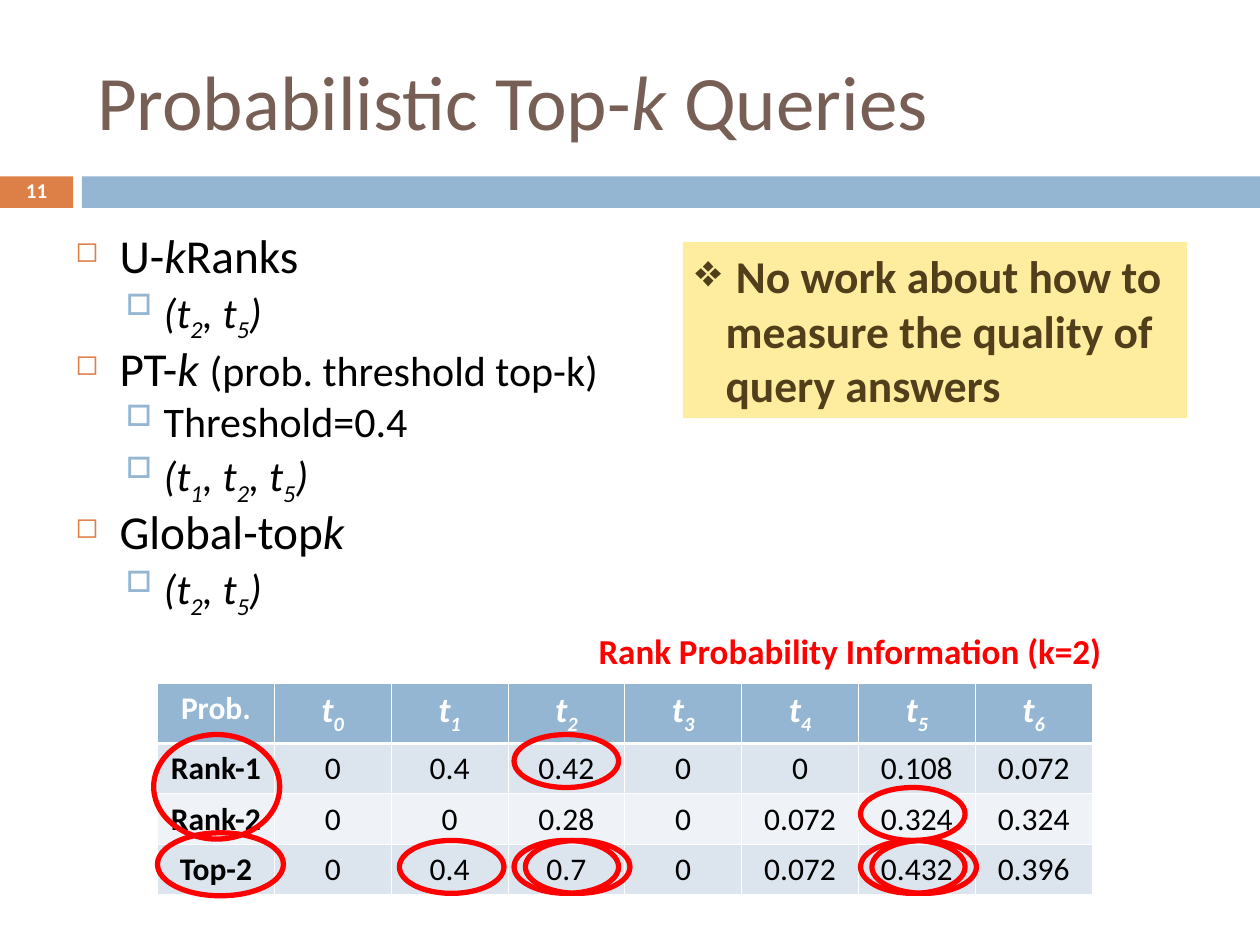
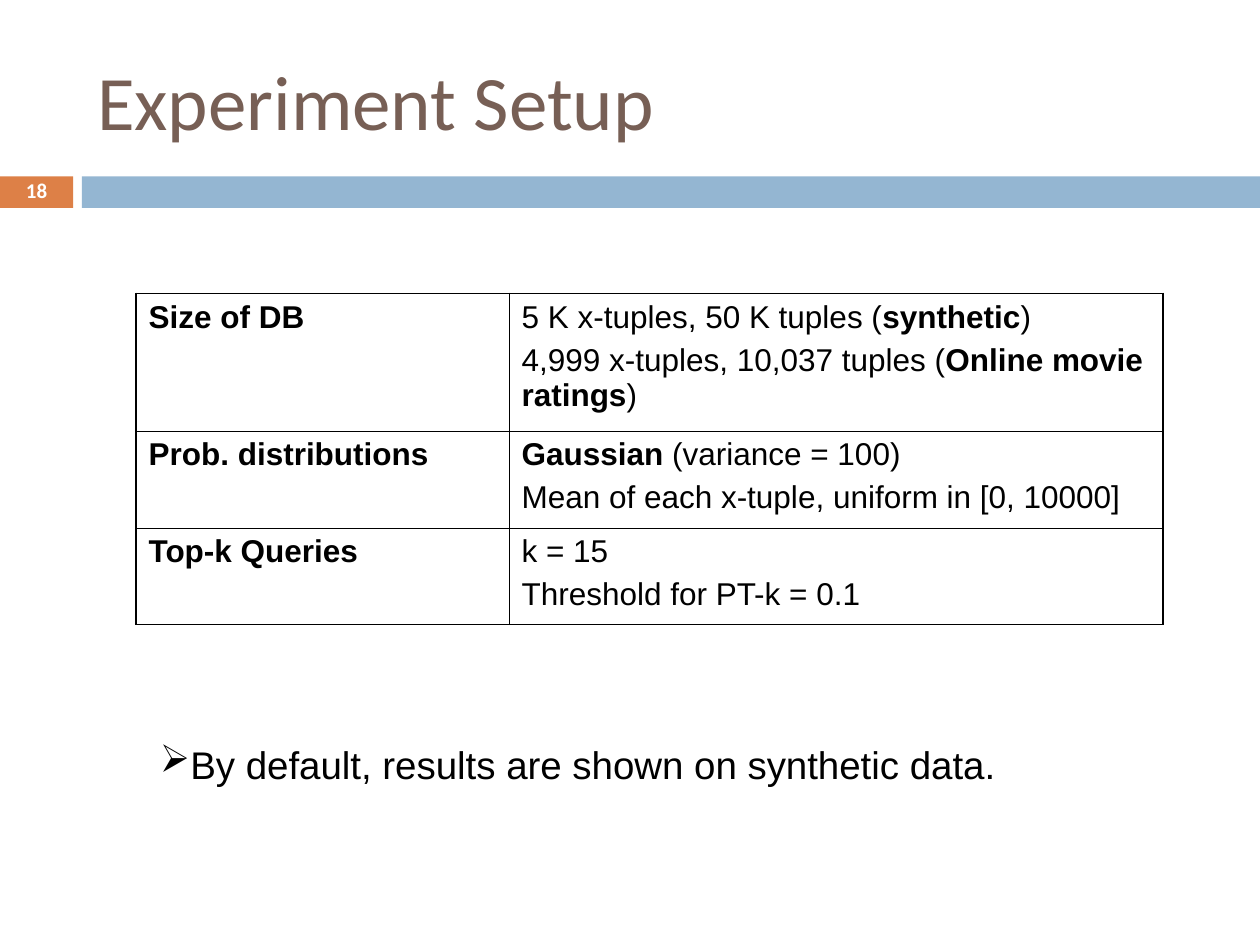
from pptx import Presentation
from pptx import util as u
from pptx.dml.color import RGBColor
from pptx.enum import shapes, text
from pptx.oxml.ns import qn
from lxml import etree

Inches, Pt = u.Inches, u.Pt

BROWN = RGBColor(0x77, 0x5F, 0x55)
ORANGE = RGBColor(0xDD, 0x80, 0x47)
BLUE = RGBColor(0x94, 0xB6, 0xD2)
PALE = RGBColor(0xDC, 0xE5, 0xEE)
PALER = RGBColor(0xEF, 0xF3, 0xF7)
YELLOW = RGBColor(0xFF, 0xED, 0x9F)
DARK = RGBColor(0x51, 0x3E, 0x1B)
RED = RGBColor(0xFF, 0, 0)
BLACK = RGBColor(0, 0, 0)
WHITE = RGBColor(0xFF, 0xFF, 0xFF)
SANS, ARIAL = "Calibri", "Arial"


# Text helpers: a run is (text, flags) or (text, flags, size);
# flags: b bold, i italic, s subscript
def write(p, runs, size, color, font=SANS):
    for content, flags, *own_size in runs:
        r = p.add_run()
        r.text = content
        f = r.font
        f.name, f.size = font, Pt(own_size[0] if own_size else size)
        f.color.rgb = color
        f.bold, f.italic = "b" in flags, "i" in flags
        if "s" in flags:
            r._r.get_or_add_rPr().set("baseline", "-25000")


def bullet(p, char, color, margin, hanging, percent=100):
    pPr = p._p.get_or_add_pPr()
    pPr.set("marL", str(Inches(margin)))
    pPr.set("indent", str(-Inches(hanging)))
    clr = etree.SubElement(pPr, qn("a:buClr"))
    etree.SubElement(clr, qn("a:srgbClr"), val=str(color))
    etree.SubElement(pPr, qn("a:buSzPct"), val=str(percent * 1000))
    etree.SubElement(pPr, qn("a:buChar"), char=char)


def tuple_set(*indices):
    runs = [("(", "i")]
    for n, index in enumerate(indices):
        runs += [(", t" if n else "t", "i"), (index, "is")]
    return runs + [(")", "i")]


# Shape helpers
def add_box(s, box, fill=None, line=None, kind=shapes.MSO_SHAPE.RECTANGLE):
    sp = s.shapes.add_shape(kind, *map(Inches, box))
    sp.shadow.inherit = False
    if fill is None:
        sp.fill.background()
    else:
        sp.fill.solid()
        sp.fill.fore_color.rgb = fill
    if line is None:
        sp.line.fill.background()
    else:
        sp.line.color.rgb = line
        sp.line.width = Pt(3)
    tf = sp.text_frame
    tf.word_wrap = True
    tf.vertical_anchor = text.MSO_ANCHOR.TOP
    tf.paragraphs[0].alignment = text.PP_ALIGN.LEFT
    return sp


def add_text(s, box):
    tf = s.shapes.add_textbox(*map(Inches, box)).text_frame
    tf.word_wrap = True
    return tf


def add_grid(s, box, widths, heights):
    table = s.shapes.add_table(len(heights), len(widths), *map(Inches, box)).table
    table.first_row = table.horz_banding = False
    for col, width in zip(table.columns, widths):
        col.width = Inches(width)
    for row, height in zip(table.rows, heights):
        row.height = Inches(height)
    return table


def style_cell(cell, color, left, right, top, bottom, fill=None):
    tcPr = cell._tc.get_or_add_tcPr()
    for side, width in zip("LRTB", (left, right, top, bottom)):
        ln = etree.SubElement(tcPr, qn(f"a:ln{side}"), w=str(Pt(width)))
        solid = etree.SubElement(ln, qn("a:solidFill"))
        etree.SubElement(solid, qn("a:srgbClr"), val=str(color))
    if fill is None:
        cell.fill.background()
    else:
        cell.fill.solid()
        cell.fill.fore_color.rgb = fill


# Title, band and slide number of every slide
def new_slide(prs, title_runs, number):
    s = prs.slides.add_slide(prs.slide_layouts[5])
    add_box(s, (0, 1.4, 0.58, 0.25), ORANGE)
    add_box(s, (0.65, 1.4, 9.35, 0.25), BLUE)
    title = s.shapes.title
    title.left, title.top, title.width, title.height = map(Inches, (0.67, 0.25, 8.92, 1.08))
    tf = title.text_frame
    tf.vertical_anchor = text.MSO_ANCHOR.MIDDLE
    p = tf.paragraphs[0]
    p.alignment = text.PP_ALIGN.LEFT
    write(p, title_runs, 44, BROWN)

    tf = add_text(s, (0, 1.39, 0.58, 0.27))
    tf.vertical_anchor = text.MSO_ANCHOR.MIDDLE
    p = tf.paragraphs[0]
    p.alignment, p.line_spacing = text.PP_ALIGN.CENTER, 0.8
    write(p, [(number, "b")], 12, WHITE)
    return s


# Two-level list of query types
def query_list(s, box):
    items = [
        (0, [("U-", ""), ("k", "i"), ("Ranks", "")]),
        (1, tuple_set("2", "5")),
        (0, [("PT-", ""), ("k ", "i"), ("(prob. threshold top-k)", "", 24)]),
        (1, [("Threshold=0.4", "")]),
        (1, tuple_set("1", "2", "5")),
        (0, [("Global-top", ""), ("k", "i")]),
        (1, tuple_set("2", "5")),
    ]
    levels = [(27, 7, ("◻", ORANGE, 0.35, 0.35, 60)),
              (24, 5.5, ("□", BLUE, 0.7, 0.3, 70))]
    tf = add_text(s, box)
    for n, (level, runs) in enumerate(items):
        size, before, mark = levels[level]
        p = tf.add_paragraph() if n else tf.paragraphs[0]
        p.level, p.line_spacing, p.space_before = level, 0.8, Pt(before)
        bullet(p, *mark)
        write(p, runs, size, BLACK)


def rank_table(s, box):
    rows = [
        ["Prob.", "0", "1", "2", "3", "4", "5", "6"],
        ["Rank-1", "0", "0.4", "0.42", "0", "0", "0.108", "0.072"],
        ["Rank-2", "0", "0", "0.28", "0", "0.072", "0.324", "0.324"],
        ["Top-2", "0", "0.4", "0.7", "0", "0.072", "0.432", "0.396"],
    ]
    fills = [BLUE, PALE, PALER, PALE]
    table = add_grid(s, box, [box[2] / 8] * 8, [0.48, 0.4, 0.4, 0.4])
    for i, row in enumerate(rows):
        for j, value in enumerate(row):
            cell = table.cell(i, j)
            style_cell(cell, WHITE, 0.45, 0.45, 1.47 if i == 1 else 0.45,
                       1.47 if i == 0 else 0.45, fills[i])
            p = cell.text_frame.paragraphs[0]
            p.alignment = text.PP_ALIGN.CENTER
            if i == 0 and j > 0:
                runs = [("t", "bi", 20), (value, "bis", 20)]
            else:
                runs = [(value, "" if j else "b")]
            write(p, runs, 18, BLACK if i else WHITE)


# Red rings around the answers, offset from the table's corner
def answer_rings(s, box):
    small = (0.83, 0.42)
    rings = [(x, y, *small) for x, y in (
        (2.83, 0.41), (5.58, 0.83), (1.92, 1.25), (2.83, 1.25),
        (5.58, 1.25), (2.92, 1.25), (5.67, 1.25))]
    rings += [(-0.03, 0.41, 1, 0.83), (0, 1.19, 1, 0.5)]
    for x, y, w, h in rings:
        add_box(s, (box[0] + x, box[1] + y, w, h), line=RED, kind=shapes.MSO_SHAPE.OVAL)


def table_caption(s, box):
    tf = add_box(s, box, WHITE).text_frame
    tf.margin_left = tf.margin_right = tf.margin_top = tf.margin_bottom = 0
    write(tf.paragraphs[0], [("Rank Probability Information (k=2)", "b")], 20, RED)


def quality_note(s, box):
    p = add_box(s, box, YELLOW).text_frame.paragraphs[0]
    bullet(p, "❖", DARK, 0.24, 0.24)
    write(p, [(" No work about how to measure the quality of query answers", "b")], 26, DARK)


def setup_table(s, box):
    rows = [
        ("Size of DB",
         [[("5 K x-tuples, 50 K tuples (", ""), ("synthetic", "b"), (")", "")],
          [("4,999 x-tuples, 10,037 tuples (", ""), ("Online movie ratings", "b"), (")", "")]]),
        ("Prob. distributions",
         [[("Gaussian ", "b"), ("(variance = 100)", "")],
          [("Mean of each x-tuple, uniform in [0, 10000]", "")]]),
        ("Top-k Queries",
         [[("k = 15", "")], [("Threshold for PT-k = 0.1", "")]]),
    ]
    thin, thick = 0.45, 1.08
    table = add_grid(s, box, [2.96, 5.19], [1.09, 0.77, 0.77])
    for i, (label, lines) in enumerate(rows):
        for j, paragraphs in enumerate(([[(label, "b")]], lines)):
            cell = table.cell(i, j)
            style_cell(cell, BLACK, thin if j else thick, thick if j else thin,
                       thin if i else thick, thin)
            tf = cell.text_frame
            for n, runs in enumerate(paragraphs):
                p = tf.add_paragraph() if n else tf.paragraphs[0]
                p.space_before = Pt(4.5)
                write(p, runs, 18, BLACK, ARIAL)


def default_note(s, box):
    p = add_text(s, box).paragraphs[0]
    p.space_before = Pt(13.8)
    bullet(p, "➢", BLACK, 0.24, 0.24)
    write(p, [("By default, results are shown on synthetic data.", "")], 22, BLACK, ARIAL)


def main():
    prs = Presentation()
    prs.slide_width, prs.slide_height = Inches(10), Inches(7.5)

    s = new_slide(prs, [("Probabilistic Top-", ""), ("k", "i"), (" Queries", "")], "11")
    table_box = (1.25, 5.42, 7.42, 1.68)
    query_list(s, (0.5, 1.83, 8.75, 3.33))
    rank_table(s, table_box)
    table_caption(s, (4.75, 5, 4.08, 0.33))
    quality_note(s, (5.42, 1.92, 4, 1.4))
    answer_rings(s, table_box)

    s = new_slide(prs, [("Experiment Setup", "")], "18")
    setup_table(s, (1.08, 2.33, 8.15, 2.63))
    default_note(s, (1.17, 5.83, 7.5, 0.47))

    prs.save("out.pptx")


if __name__ == "__main__":
    main()
